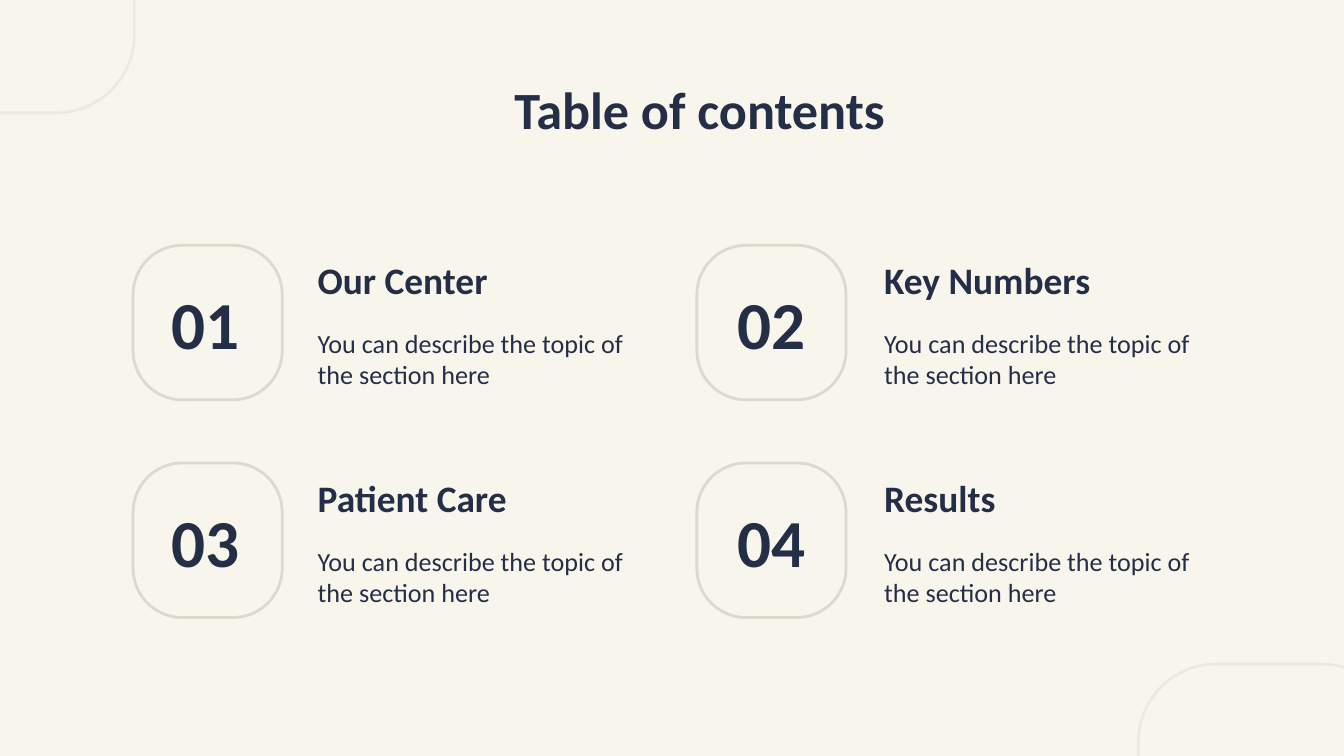
"""Build a table of contents slide with four numbered sections."""
import pptx
import pptx.dml.color
import pptx.enum.shapes
import pptx.enum.text
import pptx.util

COLORS = {"paper": "F8F5EC", "ink": "252E47", "tile": "DADACE", "corner": "ECE9E1"}
STYLES = {
    "title": {"size": pptx.util.Pt(28), "bold": True},
    "number": {"size": pptx.util.Pt(36), "bold": True},
    "heading": {"size": pptx.util.Pt(20), "bold": True},
    "body": {"size": pptx.util.Pt(14), "bold": False},
}
CENTER = pptx.enum.text.PP_ALIGN.CENTER
LEFT = pptx.enum.text.PP_ALIGN.LEFT
CELL = 0.1
TILE_COLUMNS = (9.9, 51.85)
NUMBER_COLUMNS = (9.55, 51.65)
TEXT_COLUMNS = (22.65, 64.8)
FIRST_ROW = 18.25
ROW_PITCH = 16.2
SECTIONS = ("Our Center", "Key Numbers", "Patient Care", "Results")
DESCRIPTION = "You can describe the topic of the section here"


class SlideBuilder:
    """Hold the style and current slide, measured in tenth-inch grid cells."""

    def __init__(self, page, font="Calibri"):
        self.page = page
        self.font = font

    def color(self, name):
        return pptx.dml.color.RGBColor.from_string(COLORS[name])

    def place(self, *cells):
        return [pptx.util.Inches(cell * CELL) for cell in cells]

    def background(self, color):
        fill = self.page.background.fill
        fill.solid()
        fill.fore_color.rgb = self.color(color)

    def outline(self, left, top, width, height, color, rounding):
        shape = self.page.shapes.add_shape(
            pptx.enum.shapes.MSO_SHAPE.ROUNDED_RECTANGLE,
            *self.place(left, top, width, height),
        )
        shape.adjustments[0] = rounding
        shape.shadow.inherit = False
        shape.fill.background()
        shape.line.color.rgb = self.color(color)
        shape.line.width = pptx.util.Pt(1.5)

    def text(self, left, top, width, height, words, style, align=LEFT):
        box = self.page.shapes.add_textbox(*self.place(left, top, width, height))
        frame = box.text_frame
        margin = pptx.util.Inches(0.1)
        frame_format = {
            "word_wrap": True,
            "vertical_anchor": pptx.enum.text.MSO_ANCHOR.MIDDLE,
            "margin_left": margin,
            "margin_right": margin,
            "margin_top": margin,
            "margin_bottom": margin,
        }
        for name, value in frame_format.items():
            setattr(frame, name, value)
        para = frame.paragraphs[0]
        para.alignment = align
        span = para.add_run()
        span.text = words
        for name, value in {"name": self.font, **STYLES[style]}.items():
            setattr(span.font, name, value)
        span.font.color.rgb = self.color("ink")

    def section(self, index, heading):
        row, column = divmod(index, 2)
        top = FIRST_ROW + row * ROW_PITCH
        text_left = TEXT_COLUMNS[column]
        self.outline(TILE_COLUMNS[column], top, 11.1, 11.5, "tile", 0.33)
        self.text(NUMBER_COLUMNS[column], top, 11.5, 11.5, f"{index + 1:02}", "number", CENTER)
        self.text(text_left, top - 0.35, 25.2, 5.8, heading, "heading")
        self.text(text_left, top + 5.55, 25.2, 5.8, DESCRIPTION, "body")


def main():
    deck = pptx.Presentation()
    deck.slide_width = pptx.util.Inches(10)
    deck.slide_height = deck.slide_width * 9 // 16
    builder = SlideBuilder(deck.slides.add_slide(deck.slide_layouts[6]))
    builder.background("paper")
    for left, top in ((-9.4, -14.8), (84.7, 49.4)):
        builder.outline(left, top, 19.4, 23.2, "corner", 0.3)
    builder.text(20.3, 4.9, 63.5, 6.3, "Table of contents", "title", CENTER)
    for index, heading in enumerate(SECTIONS):
        builder.section(index, heading)
    deck.save("out.pptx")


if __name__ == "__main__":
    main()
